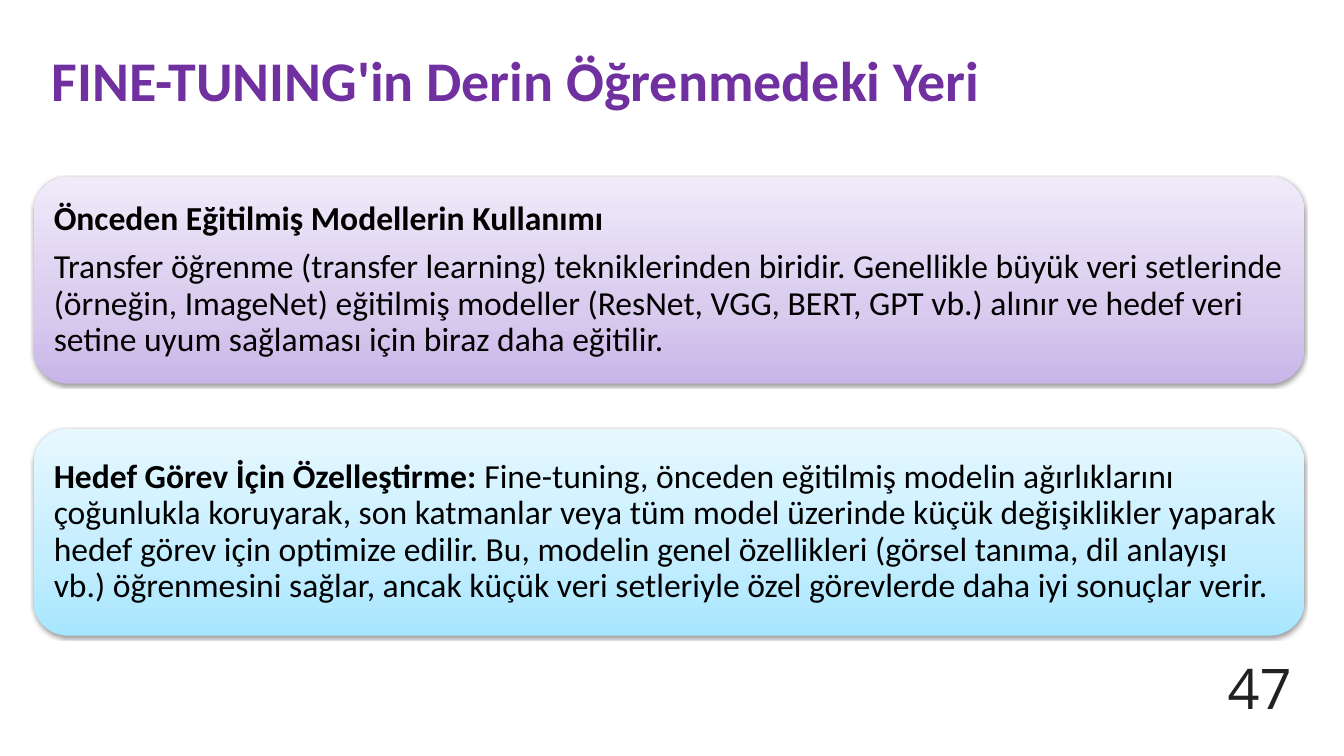
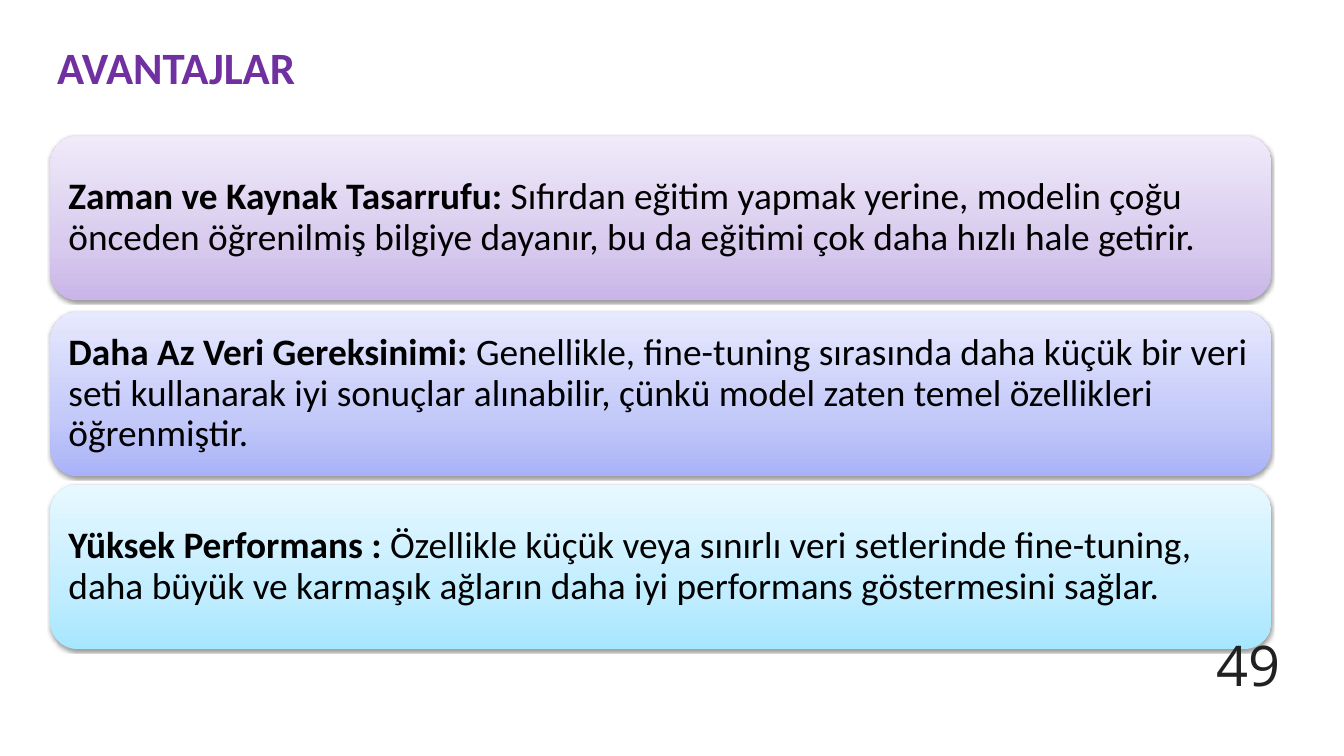
"""Builds two slides on fine-tuning: its place in deep learning and its advantages."""
from dataclasses import dataclass

from lxml import etree
from pptx import Presentation
from pptx import util as u
from pptx.dml.color import RGBColor
from pptx.enum import shapes, text
from pptx.oxml import parse_xml
from pptx.oxml.ns import nsdecls, qn


@dataclass(frozen=True)
class Theme:
    """Colours, fonts and sizes that the slides share."""
    purple = ("C9B5E8", "D8CBEE", "F0EAF9")
    indigo = ("A9B2F8", "C3C9F9", "E7E9FE")
    sky = ("A7E6FF", "C1EDFF", "E7F8FF")
    stops = (0, 35, 100)
    title = "7030A0"
    body = "000000"
    number = "212121"
    font = "Calibri"
    number_font = "Open Sans"
    number_size = 60
    card_inset = 0.15


THEME = Theme()

SLIDES = [
    {
        "title": "FINE-TUNING'in Derin Öğrenmedeki Yeri",
        "title_at": (0.67, 0.62, 14.24, 1.11),
        "title_size": 60,
        "number": "47",
        "number_at": (18.17, 10.06, 1.83, 0.79),
        "card_left": 0.5, "card_width": 18.91, "card_height": 3.08, "card_size": 36,
        "cards": [
            (2.63, THEME.purple, [
                [("Önceden Eğitilmiş Modellerin Kullanımı", True)],
                [("Transfer öğrenme (transfer learning) tekniklerinden biridir. Genellikle büyük "
                  "veri setlerinde (örneğin, ImageNet) eğitilmiş modeller (ResNet, VGG, BERT, GPT "
                  "vb.) alınır ve hedef veri setine uyum sağlaması için biraz daha eğitilir.",
                  False)],
            ]),
            (6.38, THEME.sky, [
                [("Hedef Görev İçin Özelleştirme: ", True),
                 ("Fine-tuning, önceden eğitilmiş modelin ağırlıklarını çoğunlukla koruyarak, son "
                  "katmanlar veya tüm model üzerinde küçük değişiklikler yaparak hedef görev için "
                  "optimize edilir. Bu, modelin genel özellikleri (görsel tanıma, dil anlayışı "
                  "vb.) öğrenmesini sağlar, ancak küçük veri setleriyle özel görevlerde daha iyi "
                  "sonuçlar verir.", False)],
            ]),
        ],
    },
    {
        "title": "AVANTAJLAR",
        "title_at": (0.75, 0.54, 3.78, 0.91),
        "title_size": 48,
        "number": "49",
        "number_at": (18, 9.71, 1.83, 0.79),
        "card_left": 0.75, "card_width": 18.17, "card_height": 2.45, "card_size": 40,
        "cards": [
            (2.02, THEME.purple, [
                [("Zaman ve Kaynak Tasarrufu: ", True),
                 ("Sıfırdan eğitim yapmak yerine, modelin çoğu önceden öğrenilmiş bilgiye dayanır, "
                  "bu da eğitimi çok daha hızlı hale getirir.", False)],
            ]),
            (4.64, THEME.indigo, [
                [("Daha Az Veri Gereksinimi: ", True),
                 ("Genellikle, fine-tuning sırasında daha küçük bir veri seti kullanarak iyi "
                  "sonuçlar alınabilir, çünkü model zaten temel özellikleri öğrenmiştir.", False)],
            ]),
            (7.21, THEME.sky, [
                [("Yüksek Performans : ", True),
                 ("Özellikle küçük veya sınırlı veri setlerinde fine-tuning, daha büyük ve "
                  "karmaşık ağların daha iyi performans göstermesini sağlar.", False)],
            ]),
        ],
    },
]


def inches(values):
    """Turn numbers into lengths."""
    return [u.Inches(value) for value in values]


def add_span(para, words, size, colour, bold=False, font=THEME.font):
    """Add one formatted run to a paragraph."""
    span = para.add_run()
    span.text = words
    span.font.name = font
    span.font.size = u.Pt(size)
    span.font.bold = bold
    span.font.color.rgb = RGBColor.from_string(colour)


def shade(box, colours):
    """Give a box an upward gradient and a soft shadow below."""
    box.line.fill.background()
    box.shadow.inherit = False
    stops = "".join(
        f'<a:gs pos="{place * 1000}"><a:srgbClr val="{colour}"/></a:gs>'
        for place, colour in zip(THEME.stops, colours))
    gradient = parse_xml(
        f'<a:gradFill {nsdecls("a")} rotWithShape="1"><a:gsLst>{stops}</a:gsLst>'
        '<a:lin ang="16200000" scaled="0"/></a:gradFill>')
    properties = box.fill._xPr
    properties.find(qn("a:prstGeom")).addnext(gradient)
    shadow = etree.SubElement(
        properties.find(qn("a:effectLst")), qn("a:outerShdw"),
        blurRad=str(u.Pt(3.1)), dist=str(u.Pt(1.6)), dir="5400000", rotWithShape="0")
    black = etree.SubElement(shadow, qn("a:srgbClr"), val="000000")
    etree.SubElement(black, qn("a:alpha"), val="38000")


def add_card(page, place, colours, paragraphs, size):
    """Add a rounded card with its text."""
    box = page.shapes.add_shape(shapes.MSO_SHAPE.ROUNDED_RECTANGLE, *inches(place))
    shade(box, colours)
    frame = box.text_frame
    frame.word_wrap = True
    frame.vertical_anchor = text.MSO_ANCHOR.MIDDLE
    frame.margin_left = frame.margin_right = u.Inches(THEME.card_inset)
    frame.margin_top = frame.margin_bottom = u.Inches(THEME.card_inset)
    for index, spans in enumerate(paragraphs):
        para = frame.add_paragraph() if index else frame.paragraphs[0]
        para.alignment = text.PP_ALIGN.LEFT
        para.line_spacing = 0.9
        para.space_after = u.Pt(0.35 * size)
        for words, bold in spans:
            add_span(para, words, size, THEME.body, bold)


def add_title(page, words, place, size):
    """Place and format the title placeholder."""
    box = page.shapes.title
    box.left, box.top, box.width, box.height = inches(place)
    frame = box.text_frame
    frame.word_wrap = False
    frame.auto_size = text.MSO_AUTO_SIZE.SHAPE_TO_FIT_TEXT
    frame.vertical_anchor = text.MSO_ANCHOR.TOP
    para = frame.paragraphs[0]
    para.alignment = text.PP_ALIGN.LEFT
    add_span(para, words, size, THEME.title, True)


def add_number(page, words, place):
    """Add the page number."""
    frame = page.shapes.add_textbox(*inches(place)).text_frame
    frame.word_wrap = True
    frame.auto_size = text.MSO_AUTO_SIZE.SHAPE_TO_FIT_TEXT
    para = frame.paragraphs[0]
    para.line_spacing = u.Pt(44.8)
    add_span(para, words, THEME.number_size, THEME.number, font=THEME.number_font)


def main():
    """Build and save the deck."""
    deck = Presentation()
    deck.slide_width, deck.slide_height = inches((20, 11.25))
    title_only = deck.slide_layouts.get_by_name("Title Only")
    for content in SLIDES:
        page = deck.slides.add_slide(title_only)
        for top, colours, paragraphs in content["cards"]:
            place = (content["card_left"], top, content["card_width"], content["card_height"])
            add_card(page, place, colours, paragraphs, content["card_size"])
        add_number(page, content["number"], content["number_at"])
        add_title(page, content["title"], content["title_at"], content["title_size"])
    deck.save("out.pptx")


if __name__ == "__main__":
    main()
